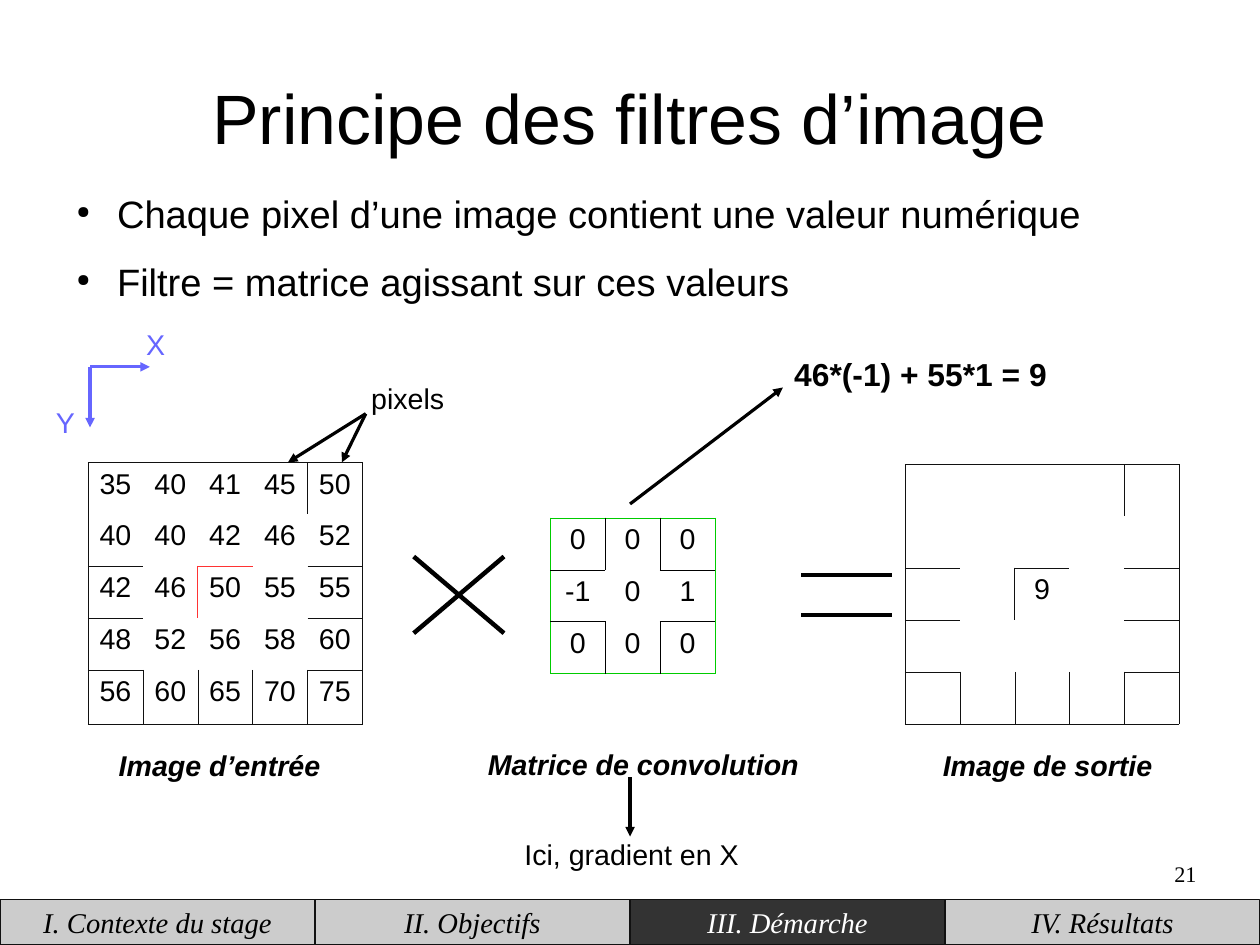
from lxml import etree
from pptx import Presentation
from pptx.dml.color import RGBColor
from pptx.enum.shapes import MSO_CONNECTOR, MSO_SHAPE
from pptx.enum.text import MSO_ANCHOR, PP_ALIGN
from pptx.oxml.ns import qn
from pptx.util import Pt

LEFT, CENTER, RIGHT = PP_ALIGN.LEFT, PP_ALIGN.CENTER, PP_ALIGN.RIGHT
TOP, MIDDLE = MSO_ANCHOR.TOP, MSO_ANCHOR.MIDDLE
STRAIGHT, RECTANGLE = MSO_CONNECTOR.STRAIGHT, MSO_SHAPE.RECTANGLE
SANS, SERIF = "Arial", "Times New Roman"
COLOURS = {
    "black": "000000", "white": "FFFFFF", "ink": "111111", "axis": "6666FF",
    "green": "00CC00", "red": "FF3333", "tab": "CCCCCC", "current": "333333",
}
WIDTH, HEIGHT = 793.7, 595.3
ROW = 32.69
INSET = (7.2, 3.6)

PIXELS = [
    [35, 40, 41, 45, 50],
    [40, 40, 42, 46, 52],
    [42, 46, 50, 55, 55],
    [48, 52, 56, 58, 60],
    [56, 60, 65, 70, 75],
]
KERNEL = [[0, 0, 0], [-1, 0, 1], [0, 0, 0]]
RESULT = [["9" if (r, c) == (2, 2) else "" for c in range(5)] for r in range(5)]


def rgb(name):
    """Return the named colour."""
    return RGBColor.from_string(COLOURS[name])


def write(tf, text, size=18, font=SANS, colour="black", bold=False, italic=False,
          align=LEFT, anchor=MIDDLE, inset=INSET, wrap=True):
    """Put formatted text, one paragraph a line, into a text frame."""
    tf.word_wrap = wrap
    tf.vertical_anchor = anchor
    tf.margin_left = tf.margin_right = Pt(inset[0])
    tf.margin_top = tf.margin_bottom = Pt(inset[1])
    for i, line in enumerate(text.split("\n")):
        p = tf.paragraphs[0] if i == 0 else tf.add_paragraph()
        p.alignment = align
        r = p.add_run()
        r.text = line
        f = r.font
        f.name, f.size, f.bold, f.italic = font, Pt(size), bold, italic
        f.color.rgb = rgb(colour)


def add_text(s, text, x, y, w, h, **fmt):
    """Add a text box and return its text frame."""
    tf = s.shapes.add_textbox(Pt(x), Pt(y), Pt(w), Pt(h)).text_frame
    write(tf, text, **fmt)
    return tf


def add_bullets(s, text, x, y, w, h):
    """Add a bulleted list."""
    tf = add_text(s, text, x, y, w, h, size=24, anchor=TOP, inset=(0, 0))
    for i, p in enumerate(tf.paragraphs):
        pPr = p._p.get_or_add_pPr()
        pPr.set("marL", str(Pt(34)))
        pPr.set("indent", str(Pt(-25.5)))
        etree.SubElement(pPr, qn("a:buSzPct"), val="45000")
        etree.SubElement(pPr, qn("a:buChar"), char="●")
        p.space_before = Pt(14.2 if i else 0)


def add_line(s, start, end, width=0, colour="black", arrow=False):
    """Draw a straight line, with an arrowhead at its end if asked."""
    points = [Pt(v) for v in (*start, *end)]
    line = s.shapes.add_connector(STRAIGHT, *points)
    line.line.width = Pt(width)
    line.line.color.rgb = rgb(colour)
    if arrow:
        etree.SubElement(line.line._get_or_add_ln(), qn("a:tailEnd"), type="triangle")
    etree.SubElement(line._element.spPr, qn("a:effectLst"))


def set_border(cell, tag, stroke):
    """Set one side of a cell to a (colour, width) stroke, or to none."""
    ln = etree.SubElement(cell._tc.get_or_add_tcPr(), qn(tag))
    if stroke is None:
        etree.SubElement(ln, qn("a:noFill"))
        return
    ln.set("w", str(Pt(stroke[1])))
    fill = etree.SubElement(ln, qn("a:solidFill"))
    etree.SubElement(fill, qn("a:srgbClr"), val=COLOURS[stroke[0]])


def frame_edges(n, colour):
    """Return the outer edges of an n by n matrix."""
    edges = {}
    for i in range(n):
        for side in (0, n):
            edges["V", i, side] = edges["H", side, i] = (colour, 0.28)
    return edges


def pixel_edges(centre):
    """Return the edges of a pixel matrix with its centre cell marked."""
    edges = frame_edges(5, "ink")
    edges["V", 0, 4] = ("ink", 0.28)
    for i in range(1, 5):
        edges["V", 4, i] = ("ink", 0.28)
    for y in (2, 3, 4):
        for c in (0, 4):
            edges["H", y, c] = ("ink", 0.28)
    edges["V", 2, 2] = edges["H", 2, 2] = (centre, 0.57)
    return edges


def kernel_edges():
    """Return the edges of the convolution matrix."""
    edges = frame_edges(3, "green")
    for i in (1, 2):
        for j in (0, 2):
            edges["V", j, i] = edges["H", i, j] = ("black", 0.28)
    return edges


def add_matrix(s, values, x, y, column, edges, align=CENTER, last_row=ROW):
    """Add a square matrix as a table."""
    n = len(values)
    table = s.shapes.add_table(n, n, Pt(x), Pt(y), Pt(n * column),
                               Pt((n - 1) * ROW + last_row)).table
    table.first_row = table.horz_banding = False
    for r, row in enumerate(values):
        table.rows[r].height = Pt(last_row if r == n - 1 else ROW)
        table.columns[r].width = Pt(column)
        for c, value in enumerate(row):
            cell = table.cell(r, c)
            sides = {"a:lnL": ("V", r, c), "a:lnR": ("V", r, c + 1),
                     "a:lnT": ("H", r, c), "a:lnB": ("H", r + 1, c)}
            for tag, key in sides.items():
                set_border(cell, tag, edges.get(key))
            cell.fill.background()
            if value != "":
                write(cell.text_frame, str(value), align=align, anchor=TOP)


def add_navigation(s, sections, current):
    """Add the row of section tabs along the bottom."""
    w = WIDTH / len(sections)
    for i, section in enumerate(sections):
        sp = s.shapes.add_shape(RECTANGLE, Pt(i * w), Pt(566.9), Pt(w), Pt(28.3))
        sp.shadow.inherit = False
        sp.fill.solid()
        sp.fill.fore_color.rgb = rgb("current" if i == current else "tab")
        sp.line.color.rgb = rgb("ink")
        sp.line.width = Pt(0)
        write(sp.text_frame, section, font=SERIF, italic=True, align=CENTER,
              colour="white" if i == current else "black", wrap=False)


def main():
    """Build the slide and save it."""
    prs = Presentation()
    prs.slide_width, prs.slide_height = Pt(WIDTH), Pt(HEIGHT)
    s = prs.slides.add_slide(prs.slide_layouts[6])

    add_text(s, "Principe des filtres d’image", 39.7, 23.8, 714.3, 99.4,
             size=44, align=CENTER, inset=(0, 0))
    add_bullets(s, "Chaque pixel d’une image contient une valeur numérique\n"
                   "Filtre = matrice agissant sur ces valeurs", 39.7, 120, 714.3, 345)

    add_matrix(s, RESULT, 570.2, 292.5, 34.5, pixel_edges("ink"))
    add_matrix(s, PIXELS, 55.5, 291.3, 34.56, pixel_edges("red"), LEFT, 33.9)
    add_matrix(s, KERNEL, 346.7, 326.2, 34.56, kernel_edges())

    add_line(s, (260.6, 350.6), (317.5, 398.9), 2.83)
    add_line(s, (317.5, 350.6), (260.6, 398.9), 2.83)
    for y in (362.2, 387.4):
        add_line(s, (504.7, y), (561.6, y), 2.83)

    for text, x, y, w, h in (("Image d’entrée", 67.7, 468, 147.6, 27.4),
                             ("Matrice de convolution", 300.2, 457.9, 215.3, 47.5),
                             ("Image de sortie", 586.8, 468, 147.6, 27.4)):
        add_text(s, text, x, y, w, h, bold=True, italic=True)
    add_text(s, "46*(-1) + 55*1 = 9", 493.2, 221, 226.8, 29.5, size=20, bold=True)
    add_text(s, "pixels", 226.8, 226.8, 62.6, 47.5)
    add_text(s, "Ici, gradient en X", 323.3, 520.6, 158.4, 34.6)
    add_text(s, "Y", 28.1, 241.9, 51.1, 47.5, colour="axis")
    add_text(s, "X", 85, 193, 51.1, 47.5, colour="axis")

    add_line(s, (396.9, 317.5), (493.2, 244.1), arrow=True)
    add_line(s, (396.9, 489.6), (396.9, 527), arrow=True)
    for tip in ((56.7, 269.3), (94.4, 231.1)):
        add_line(s, (56.7, 231.1), tip, colour="axis", arrow=True)
    for tip_x in (215.3, 181.4):
        add_line(s, (230.4, 260.6), (tip_x, 291.3), arrow=True)

    add_navigation(s, ("I. Contexte du stage", "II. Objectifs",
                       "III. Démarche", "IV. Résultats"), current=2)
    add_text(s, "21", 568.8, 542.2, 185, 41, size=14, font=SERIF,
             align=RIGHT, anchor=TOP, inset=(0, 0))
    prs.save("out.pptx")


if __name__ == "__main__":
    main()
